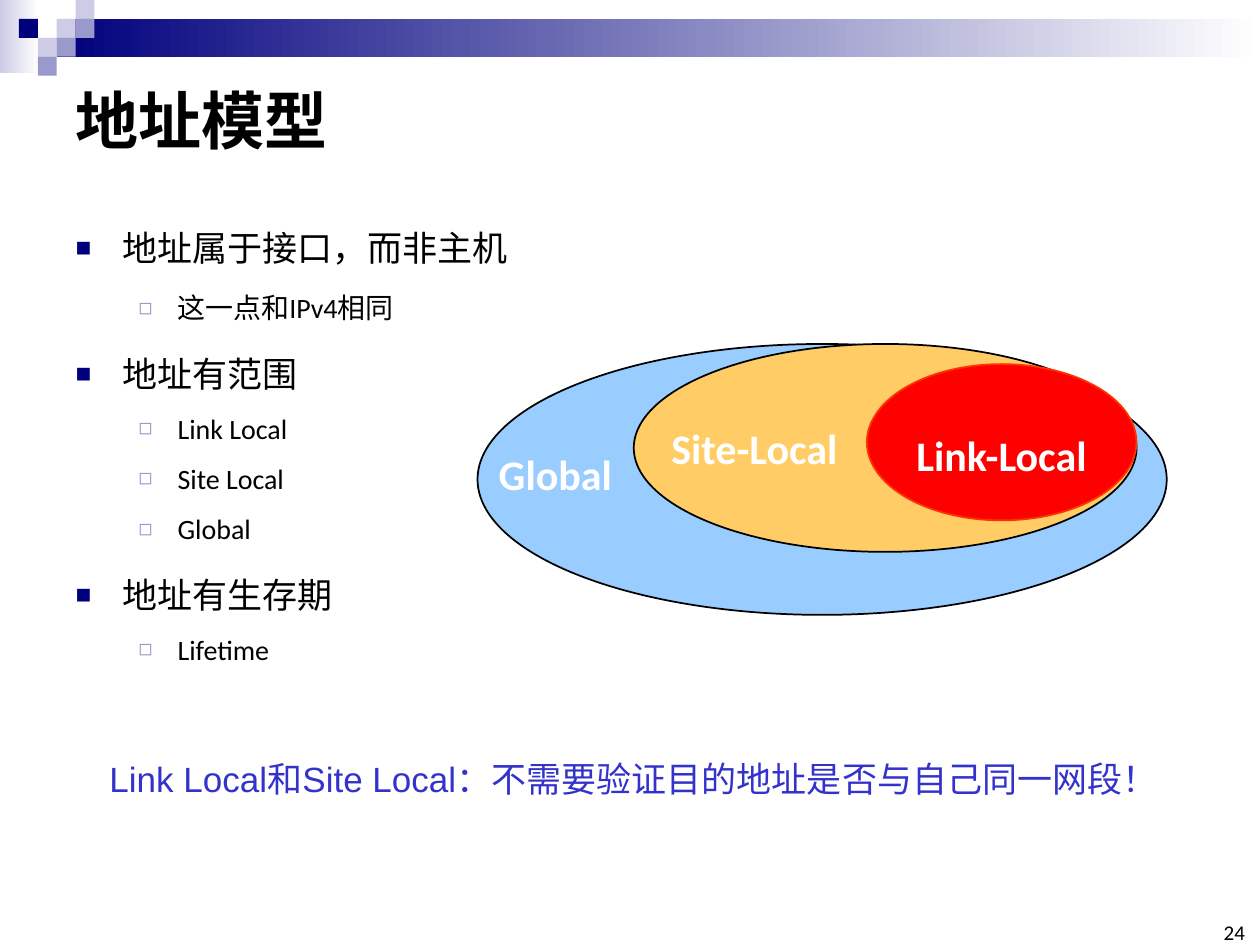
from lxml import etree
from pptx import Presentation
from pptx import util as u
from pptx.dml.color import RGBColor
from pptx.enum import shapes, text
from pptx.oxml import ns

BLACK = RGBColor(0x00, 0x00, 0x00)
WHITE = RGBColor(0xFF, 0xFF, 0xFF)
NAVY = RGBColor(0x00, 0x00, 0x7D)
LAVENDER = RGBColor(0x99, 0x99, 0xCC)
PALE = RGBColor(0xCC, 0xCC, 0xE6)
NOTE_BLUE = RGBColor(0x33, 0x33, 0xCC)
GLOBAL_BLUE = RGBColor(0x99, 0xCC, 0xFF)
SITE_ORANGE = RGBColor(0xFF, 0xCC, 0x66)
LINK_RED = RGBColor(0xFF, 0x00, 0x00)
LINK_EDGE = RGBColor(0xFF, 0x33, 0x00)

BULLETS = [("■", NAVY, 75, 0.37, -0.37, 20), ("◻", LAVENDER, 80, 0.81, -0.31, 16)]
OUTLINE = [
    (0, "地址属于接口，而非主机", 0),
    (1, "这一点和IPv4相同", 3.2),
    (0, "地址有范围", 4),
    (1, "Link Local", 0),
    (1, "Site Local", 0),
    (1, "Global", 0),
    (0, "地址有生存期", 4),
    (1, "Lifetime", 0),
]


def inches(*lengths):
    return [u.Inches(length) for length in lengths]


def place(shape, box):
    shape.left, shape.top, shape.width, shape.height = inches(*box)


def add_span(para, words, size, color=BLACK, bold=False, font="Calibri"):
    span = para.add_run()
    span.text = words
    span.font.name = font
    span.font.size = u.Pt(size)
    span.font.bold = bold
    span.font.color.rgb = color


def add_filled(page, kind, box, color, edge=None, fade=False):
    shape = page.shapes.add_shape(kind, *inches(*box))
    shape.shadow.inherit = False
    if fade:
        shape.fill.gradient()
        shape.fill.gradient_angle = 0
        for stop, shade in zip(shape.fill.gradient_stops, (color, WHITE)):
            stop.color.rgb = shade
    else:
        shape.fill.solid()
        shape.fill.fore_color.rgb = color
    if edge is None:
        shape.line.fill.background()
    else:
        shape.line.color.rgb = edge
        shape.line.width = u.Pt(1)
    return shape


def add_label(page, box, words, size, color, bold=False, font="Calibri", wrap=False):
    label = page.shapes.add_textbox(*inches(*box))
    label.text_frame.word_wrap = wrap
    add_span(label.text_frame.paragraphs[0], words, size, color, bold, font)
    return label.text_frame


def add_banner(page, box):
    left, top, width, height = box
    cell = 0.15
    rect = shapes.MSO_SHAPE.RECTANGLE
    add_filled(page, rect, (left, top, 0.31, height), PALE, fade=True)
    add_filled(page, rect, (left + 3 * cell, top + cell, width - 3 * cell, 2 * cell), NAVY, fade=True)
    mosaic = [(3, 1, PALE), (4, 0, PALE), (4, 1, LAVENDER), (2, 2, PALE),
              (1, 1, NAVY), (3, 2, LAVENDER), (2, 3, LAVENDER)]
    for column, row, color in mosaic:
        add_filled(page, rect, (left + column * cell, top + row * cell, cell, cell), color)


def fill_title(page, box):
    title = page.shapes.title
    place(title, box)
    title.text_frame.vertical_anchor = text.MSO_ANCHOR.MIDDLE
    para = title.text_frame.paragraphs[0]
    para.alignment = text.PP_ALIGN.LEFT
    add_span(para, "地址模型", 36, bold=True)


def set_bullet(para, level):
    mark, color, percent, margin, indent, _ = BULLETS[level]
    props = para._p.get_or_add_pPr()
    props.set("marL", str(u.Inches(margin)))
    props.set("indent", str(u.Inches(indent)))
    tint = etree.SubElement(props, ns.qn("a:buClr"))
    etree.SubElement(tint, ns.qn("a:srgbClr"), val=str(color))
    etree.SubElement(props, ns.qn("a:buSzPct"), val=str(percent * 1000))
    etree.SubElement(props, ns.qn("a:buChar"), char=mark)


def fill_outline(page, box):
    body = page.placeholders[1]
    place(body, box)
    frame = body.text_frame
    frame.auto_size = text.MSO_AUTO_SIZE.NONE
    for number, (level, words, before) in enumerate(OUTLINE):
        para = frame.add_paragraph() if number else frame.paragraphs[0]
        para.level = level
        para.line_spacing = 1.5
        para.space_before = u.Pt(before)
        set_bullet(para, level)
        add_span(para, words, BULLETS[level][-1])


def add_scopes(page, box):
    left, top, width, height = box
    oval = shapes.MSO_SHAPE.OVAL
    add_filled(page, oval, box, GLOBAL_BLUE, BLACK)
    add_filled(page, oval, (left + 1.24, top, 3.99, 1.65), SITE_ORANGE, BLACK)
    link = add_filled(page, oval, (left + 3.09, top + 0.16, 2.14, 1.24), LINK_RED, LINK_EDGE)
    link.text_frame.word_wrap = False
    link.text_frame.vertical_anchor = text.MSO_ANCHOR.MIDDLE
    para = link.text_frame.paragraphs[0]
    para.alignment = text.PP_ALIGN.CENTER
    para.line_spacing = 1.5
    add_span(para, "Link-Local", 24, WHITE, bold=True)
    add_label(page, (left + 1.44, top + 0.57, 1.54, 0.51), "Site-Local", 24, WHITE, bold=True)
    add_label(page, (left + 0.07, top + 0.78, 1.11, 0.51), "Global", 24, WHITE, bold=True)


def add_note(page, box):
    add_label(page, box, "Link Local和Site Local：不需要验证目的地址是否与自己同一网段！",
              20, NOTE_BLUE, font="Arial", wrap=True)


def add_page_number(page, box):
    frame = add_label(page, box, "24", 12, BLACK, wrap=True)
    frame.margin_left = frame.margin_right = frame.margin_top = frame.margin_bottom = 0
    frame.vertical_anchor = text.MSO_ANCHOR.BOTTOM
    frame.paragraphs[0].alignment = text.PP_ALIGN.RIGHT


def main():
    deck = Presentation()
    deck.slide_width, deck.slide_height = inches(10, 7.5)
    page = deck.slides.add_slide(deck.slide_layouts[1])
    add_banner(page, (0, 0, 10, 0.58))
    fill_title(page, (0.5, 0.5, 9, 0.89))
    fill_outline(page, (0.5, 1.58, 9.15, 4.28))
    add_scopes(page, (3.79, 2.73, 5.47, 2.15))
    add_note(page, (0.77, 5.96, 8.29, 0.44))
    add_page_number(page, (9.5, 7.33, 0.38, 0.17))
    deck.save("out.pptx")


if __name__ == "__main__":
    main()
